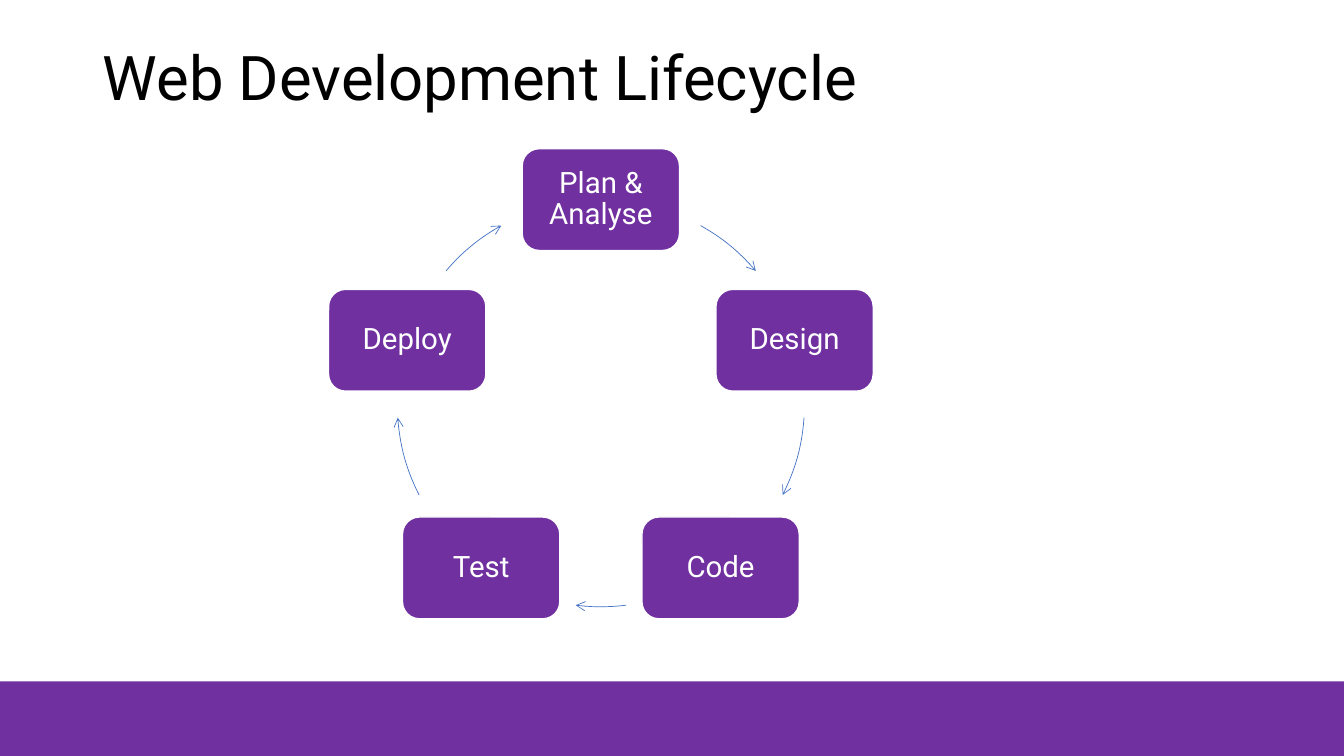
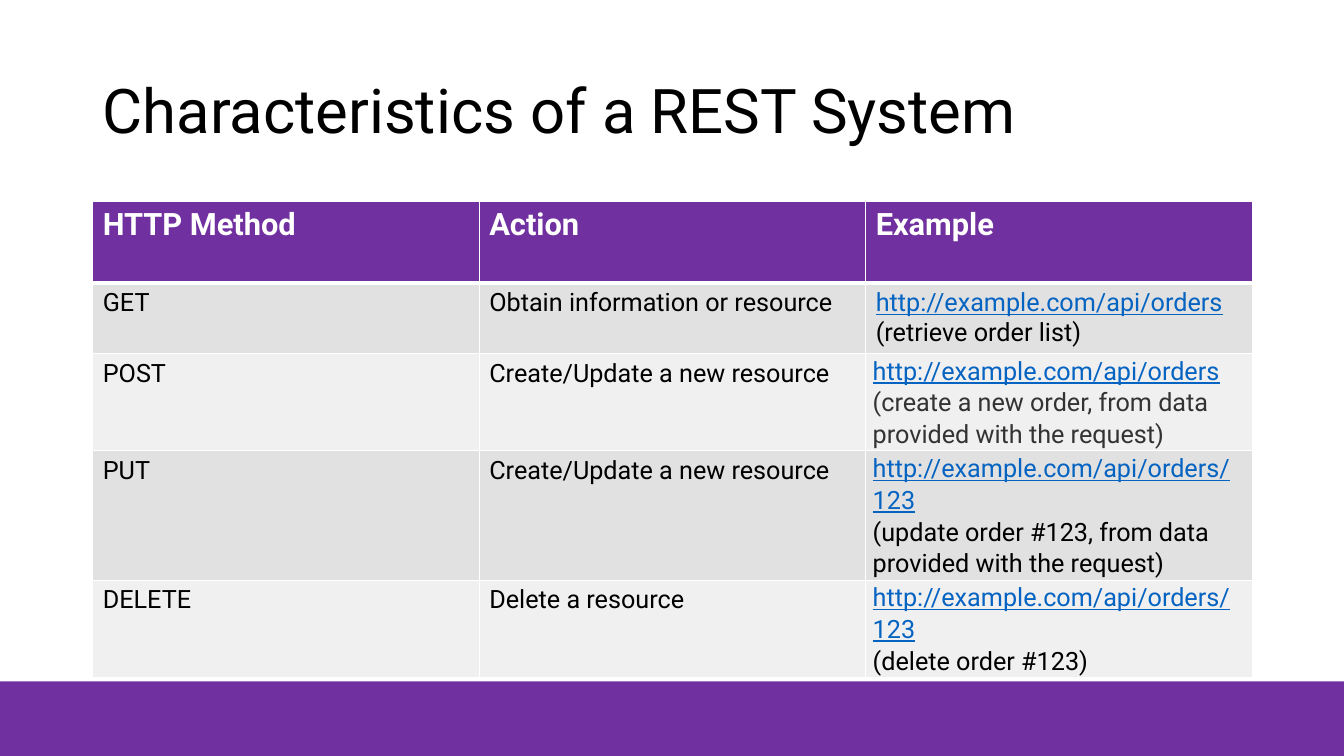
from dataclasses import dataclass
from math import cos, radians, sin

from lxml import etree
from pptx import Presentation
from pptx.dml.color import RGBColor
from pptx.enum.shapes import MSO_SHAPE as Shape
from pptx.enum.text import MSO_ANCHOR as Anchor, PP_ALIGN as Align
from pptx.oxml import parse_xml
from pptx.oxml.ns import nsdecls, qn
from pptx.util import Inches, Pt


@dataclass(frozen=True)
class Theme:
    """Colours, font and type sizes."""
    font: str = "Roboto"
    brand: str = "7030A0"
    white: str = "FFFFFF"
    ink: str = "000000"
    soft: str = "333333"
    link: str = "0563C1"
    arrow: str = "4472C4"
    rows: tuple = ("F0F0F0", "E1E1E1")
    title: int = 44
    head: int = 22
    node: int = 21
    body: int = 18


class Deck:
    """Holds the style and the current slide."""

    def __init__(self, theme):
        """Start an empty wide deck."""
        self.theme = theme
        self.show = Presentation()
        self.show.slide_width = Inches(13.33)
        self.show.slide_height = Inches(7.5)

    def page(self, title, top):
        """Add a slide with its band and title."""
        look = self.theme
        self.slide = self.show.slides.add_slide(self.show.slide_layouts[6])
        self.shape(Shape.RECTANGLE, (-0.11, 6.76, 13.55, 0.74), look.brand)
        area = [Inches(n) for n in (0.92, top, 11.5, 1.45)]
        frame = self.slide.shapes.add_textbox(*area).text_frame
        frame.word_wrap = True
        frame.vertical_anchor = Anchor.MIDDLE
        para = frame.paragraphs[0]
        para.line_spacing = 0.9
        self.run(para, title, look.title, look.ink)

    def shape(self, kind, area, fill=None, line=None, width=1):
        """Add a flat preset shape."""
        item = self.slide.shapes.add_shape(kind, *[Inches(n) for n in area])
        item.shadow.inherit = False
        if fill:
            item.fill.solid()
            item.fill.fore_color.rgb = RGBColor.from_string(fill)
        else:
            item.fill.background()
        if line:
            item.line.color.rgb = RGBColor.from_string(line)
            item.line.width = Pt(width)
        else:
            item.line.fill.background()
        return item

    def run(self, para, text, size, color, bold=False, under=False):
        """Add one styled run."""
        run = para.add_run()
        run.text = text
        font = run.font
        font.name, font.size = self.theme.font, Pt(size)
        font.bold, font.underline = bold, under
        font.color.rgb = RGBColor.from_string(color)

    def node(self, text, x, y, wide=1.56, high=1.01):
        """Add a rounded step centred on a point."""
        look = self.theme
        area = (x - wide / 2, y - high / 2, wide, high)
        frame = self.shape(Shape.ROUNDED_RECTANGLE, area, look.brand,
                           look.white).text_frame
        frame.word_wrap = True
        frame.vertical_anchor = Anchor.MIDDLE
        frame.margin_left = frame.margin_right = Inches(0.14)
        frame.margin_top = frame.margin_bottom = Inches(0.14)
        para = frame.paragraphs[0]
        para.alignment = Align.CENTER
        para.line_spacing = 0.9
        self.run(para, text, look.node, look.white)

    def arc(self, x, y, size, start, end):
        """Add an arrow along a circle, angles in degrees."""
        area = (x - size, y - size, 2 * size, 2 * size)
        item = self.shape(Shape.ARC, area, None, self.theme.arrow, 0.5)
        for spot, angle in enumerate((start, end)):
            item.adjustments[spot] = angle * 0.6
        etree.SubElement(item.line._get_or_add_ln(), qn("a:tailEnd"),
                         type="arrow")

    def cycle(self, steps, spans, x, y, size):
        """Place steps evenly on a circle, with arrows between."""
        for spot, (text, span) in enumerate(zip(steps, spans)):
            turn = radians(360 / len(steps) * spot - 90)
            self.node(text, x + size * cos(turn), y + size * sin(turn))
            self.arc(x, y, size, *span)

    def edge(self, cell, top, base):
        """Draw the white borders of a cell."""
        sides = (("L", 1), ("R", 1), ("T", top), ("B", base))
        for spot, (side, width) in enumerate(sides):
            cell._tc.get_or_add_tcPr().insert(spot, parse_xml(
                f'<a:ln{side} {nsdecls("a")} w="{Pt(width)}"><a:solidFill>'
                f'<a:srgbClr val="{self.theme.white}"/></a:solidFill>'
                f'</a:ln{side}>'))

    def cell(self, cell, lines, fill, size, bold=False):
        """Fill a cell with lines of text, colour and underline."""
        cell.fill.solid()
        cell.fill.fore_color.rgb = RGBColor.from_string(fill)
        para = cell.text_frame.paragraphs[0]
        for spot, (text, color, under) in enumerate(lines):
            if spot:
                para.add_line_break()
            self.run(para, text, size, color, bold, under)

    def tight(self, cell):
        """Give a cell narrow margins and looser lines."""
        cell.margin_left = cell.margin_right = Inches(0.07)
        cell.margin_top = cell.margin_bottom = 0
        cell.vertical_anchor = Anchor.MIDDLE
        cell.text_frame.paragraphs[0].line_spacing = 1.07

    def table(self, heads, rows, highs, area):
        """Add a table with a header and banded rows."""
        look = self.theme
        grid = self.slide.shapes.add_table(
            len(rows) + 1, len(heads), *[Inches(n) for n in area]).table
        grid.first_row = grid.horz_banding = False
        for row, high in zip(grid.rows, highs):
            row.height = Inches(high)
        for col, text in enumerate(heads):
            cell = grid.cell(0, col)
            self.cell(cell, [(text, look.white, False)], look.brand,
                      look.head, True)
            self.edge(cell, 1, 3)
        for row, (verb, act, link, note, tint) in enumerate(rows, 1):
            sets = ([(verb, look.ink, False)], [(act, look.ink, False)],
                    [(link, look.link, True), (note, tint, False)])
            for col, lines in enumerate(sets):
                cell = grid.cell(row, col)
                self.cell(cell, lines, look.rows[row % 2], look.body)
                self.edge(cell, 3 if row == 1 else 1, 1)
            if row > 1:
                self.tight(grid.cell(row, 2))


def main():
    """Build both slides and save them."""
    look = Theme()
    deck = Deck(look)

    deck.page("Web Development Lifecycle", 0.07)
    deck.cycle(("Plan & Analyse", "Design", "Code", "Test", "Deploy"),
               ((299.3, 319.5), (4.1, 26.8), (82.9, 97.1),
                (153.2, 175.9), (220.5, 240.7)), 5.96, 4, 2.02)

    deck.page("Characteristics of a REST System", 0.4)
    base = "http://example.com/api/orders"
    make = "Create/Update a new resource"
    data = "from data provided with the request)"
    rows = (
        ("GET", "Obtain information or resource", base,
         "(retrieve order list)", look.ink),
        ("POST", make, base, f"(create a new order, {data}", look.soft),
        ("PUT", make, f"{base}/123", f"(update order #123, {data}", look.ink),
        ("DELETE", "Delete a resource", f"{base}/123",
         "(delete order #123)", look.ink),
    )
    deck.table(("HTTP Method", "Action", "Example"), rows,
               (0.81, 0.68, 0.94, 1.26, 0.94), (0.92, 2, 11.5, 4.63))

    deck.show.save("out.pptx")


if __name__ == "__main__":
    main()
